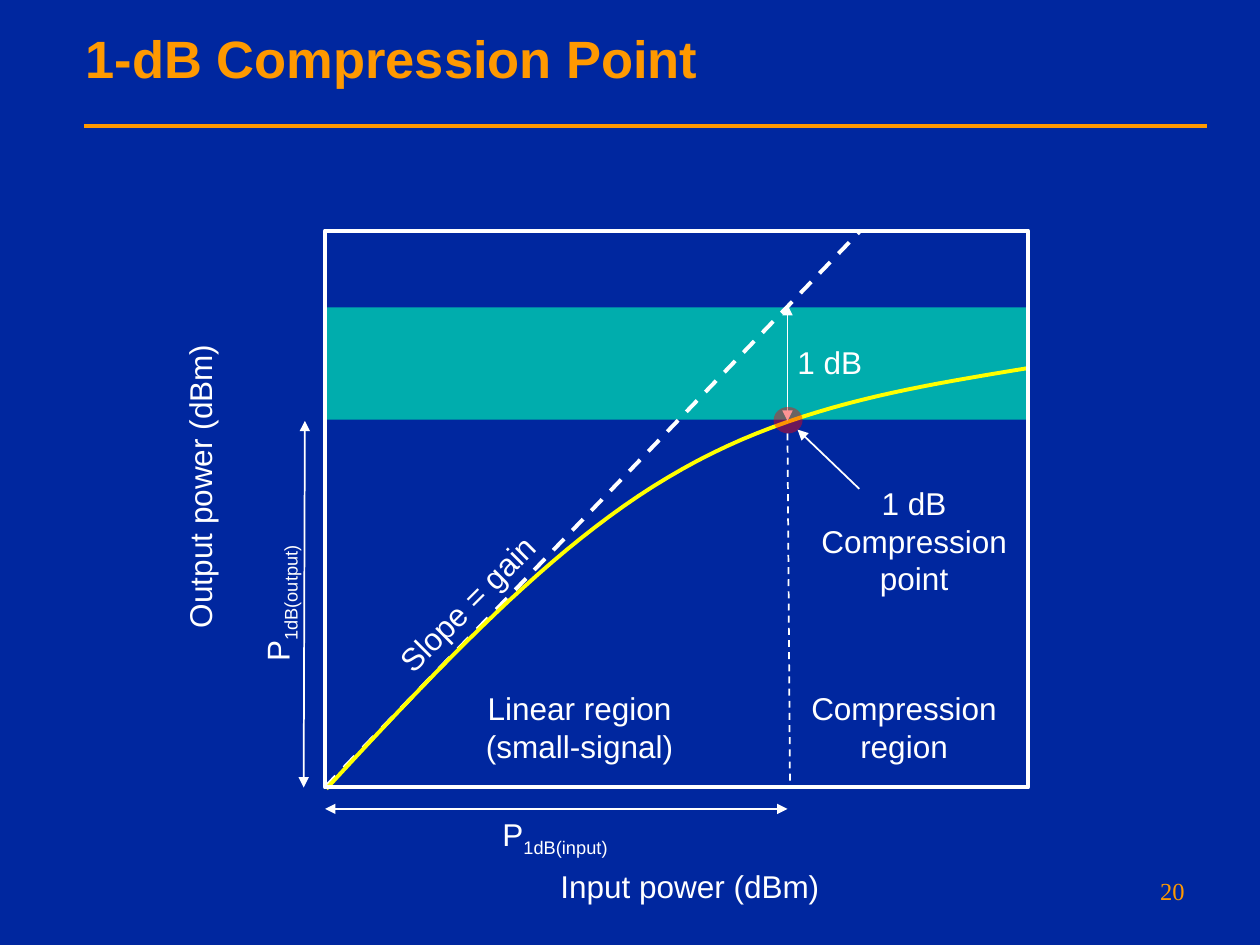
"""Build the 1-dB compression point slide."""
from dataclasses import dataclass

from lxml import etree
from pptx import Presentation
from pptx.dml.color import RGBColor
from pptx.enum.dml import MSO_LINE
from pptx.enum.shapes import MSO_CONNECTOR, MSO_SHAPE
from pptx.enum.text import MSO_ANCHOR, MSO_AUTO_SIZE, PP_ALIGN
from pptx.oxml.ns import qn
from pptx.util import Inches, Pt

STRAIGHT = MSO_CONNECTOR.STRAIGHT
RECT, OVAL = MSO_SHAPE.RECTANGLE, MSO_SHAPE.OVAL
DASH = MSO_LINE.DASH
MIDDLE = MSO_ANCHOR.MIDDLE
FIXED, GROW = MSO_AUTO_SIZE.NONE, MSO_AUTO_SIZE.SHAPE_TO_FIT_TEXT
LEFT, CENTER, RIGHT = PP_ALIGN.LEFT, PP_ALIGN.CENTER, PP_ALIGN.RIGHT
BLUE, GOLD, WHITE = "00279F", "FF9900", "FFFFFF"
TEAL, YELLOW, RED = "00ADAD", "FFFF00", "FF0000"
X, Y, W, H = 2.58, 1.83, 5.58, 4.42
KNEE_X, KNEE_Y, IDEAL_Y = 6.25, 3.34, 2.44


@dataclass
class Label:
    """A text box; an underscore starts a subscript."""
    text: str
    box: tuple[float, float, float, float]
    turn: float = 0
    align: PP_ALIGN = CENTER
    font: str = "Arial"
    size: float = 18
    color: str = WHITE


@dataclass
class Rule:
    """A straight line with optional dashes and arrowheads."""
    start: tuple[float, float]
    end: tuple[float, float]
    width: float = 1
    color: str = WHITE
    dash: bool = False
    heads: tuple[str, ...] = ()


LABELS = [
    Label("1 dB", (6.23, 2.67, 0.71, 0.4)),
    Label("Input power (dBm)", (4.35, 6.83, 2.25, 0.4)),
    Label("Output power (dBm)", (0.36, 3.66, 2.45, 0.4), 270),
    Label("1 dB\nCompression\npoint", (6.42, 3.79, 1.67, 1)),
    Label("P_1dB(input)", (3.89, 6.42, 1.03, 0.44)),
    Label("P_1dB(output)", (1.66, 4.57, 1.12, 0.44), 270),
    Label("Slope = gain", (2.91, 4.59, 1.59, 0.4), 315),
    Label("Linear region\n(small-signal)", (3.76, 5.42, 1.68, 0.7)),
    Label("Compression\nregion", (6.34, 5.42, 1.67, 0.7)),
    Label("20", (7.75, 6.9, 1.75, 0.43), 0, RIGHT, "Times New Roman", 14, GOLD),
]
BOTH = ("headEnd", "tailEnd")
RULES = [
    Rule((KNEE_X, 2.42), (KNEE_X, KNEE_Y), heads=BOTH),
    Rule((6.82, 3.88), (6.33, 3.41), heads=("tailEnd",)),
    Rule((KNEE_X, 3.44), (6.27, 6.23), dash=True),
    Rule((X, 6.42), (KNEE_X, 6.42), heads=BOTH),
    Rule((2.42, KNEE_Y), (2.41, Y + H), heads=BOTH),
]
CURVE = [
    ((2.59, 6.26), (3.48, 5.3), (4.37, 4.34), (5.3, 3.79)),
    ((5.3, 3.79), (6.23, 3.23), (7.2, 3.08), (8.17, 2.92)),
]


def rgb(code: str) -> RGBColor:
    """Turn a hex string into a colour."""
    return RGBColor.from_string(code)


def style(par, font: str, size: float, color: str, bold: bool = False) -> None:
    """Set the font of a paragraph."""
    par.font.name, par.font.size, par.font.bold = font, Pt(size), bold
    par.font.color.rgb = rgb(color)


def stroke(line, color: str, width: float) -> None:
    """Set the colour and width of a line."""
    line.color.rgb = rgb(color)
    line.width = Pt(width)


def draw_rule(slide, rule: Rule) -> None:
    """Draw a straight line."""
    ends = [Inches(v) for v in rule.start + rule.end]
    link = slide.shapes.add_connector(STRAIGHT, *ends)
    stroke(link.line, rule.color, rule.width)
    if rule.dash:
        link.line.dash_style = DASH
    for head in rule.heads:
        etree.SubElement(link.line._get_or_add_ln(), qn(f"a:{head}"), type="triangle")
    etree.SubElement(link._element.spPr, qn("a:effectLst"))


def draw_shape(slide, kind: MSO_SHAPE, box: tuple, fill: str = "", edge: str = "", alpha: int = 100) -> None:
    """Draw a preset shape."""
    shape = slide.shapes.add_shape(kind, *map(Inches, box))
    shape.shadow.inherit = False
    if fill:
        shape.fill.solid()
        shape.fill.fore_color.rgb = rgb(fill)
        if alpha < 100:
            tint = shape._element.spPr.find(".//" + qn("a:srgbClr"))
            etree.SubElement(tint, qn("a:alpha"), val=str(alpha * 1000))
    else:
        shape.fill.background()
    if edge:
        stroke(shape.line, edge, 2.25)
    else:
        shape.line.fill.background()


def draw_curve(slide, parts: list, steps: int = 24) -> None:
    """Draw a chain of cubic curves as one open outline."""
    dots = [tuple(map(Inches, parts[0][0]))]
    for part in parts:
        for i in range(1, steps + 1):
            t = i / steps
            mix = ((1 - t) ** 3, 3 * t * (1 - t) ** 2, 3 * t * t * (1 - t), t ** 3)
            dots.append(tuple(Inches(sum(m * p[k] for m, p in zip(mix, part))) for k in (0, 1)))
    pen = slide.shapes.build_freeform(*dots[0])
    pen.add_line_segments(dots[1:], close=False)
    shape = pen.convert_to_shape()
    shape.shadow.inherit = False
    shape.fill.background()
    stroke(shape.line, YELLOW, 2.25)


def draw_label(slide, label: Label) -> None:
    """Draw a text box."""
    box = slide.shapes.add_textbox(*map(Inches, label.box))
    box.rotation = label.turn
    frame = box.text_frame
    frame.word_wrap = label.align == RIGHT
    frame.auto_size = FIXED if label.align == RIGHT else GROW
    if label.align == CENTER:
        frame.margin_left = frame.margin_right = Inches(0.08)
    for i, text in enumerate(label.text.split("\n")):
        par = frame.add_paragraph() if i else frame.paragraphs[0]
        par.alignment = label.align
        style(par, label.font, label.size, label.color)
        base, _, sub = text.partition("_")
        par.add_run().text = base
        if sub:
            run = par.add_run()
            run.text = sub
            run._r.get_or_add_rPr().set("baseline", "-25000")


def draw_title(slide, text: str) -> None:
    """Fill and place the title."""
    title = slide.shapes.title
    title.left, title.top, title.width, title.height = map(Inches, (0.58, 0, 9, 0.91))
    frame = title.text_frame
    frame.text = text
    frame.vertical_anchor = MIDDLE
    frame.auto_size = FIXED
    par = frame.paragraphs[0]
    par.alignment = LEFT
    style(par, "Arial", 30, GOLD, True)


def main() -> None:
    """Build and save the slide."""
    deck = Presentation()
    deck.slide_width, deck.slide_height = Inches(10), Inches(7.5)
    slide = deck.slides.add_slide(deck.slide_layouts[5])
    slide.background.fill.solid()
    slide.background.fill.fore_color.rgb = rgb(BLUE)
    draw_title(slide, "1-dB Compression Point")
    draw_rule(slide, Rule((0.67, 1), (9.58, 1), 2.25, GOLD))
    draw_shape(slide, RECT, (X, IDEAL_Y, W, 0.89), TEAL)
    draw_rule(slide, Rule((X, Y + H), (6.83, Y), 2.25, dash=True))
    draw_curve(slide, CURVE)
    draw_shape(slide, RECT, (X, Y, W, H), edge=WHITE)
    for rule in RULES:
        draw_rule(slide, rule)
    draw_shape(slide, OVAL, (6.14, 3.23, 0.23, 0.21), RED, alpha=42)
    for label in LABELS:
        draw_label(slide, label)
    deck.save("out.pptx")


if __name__ == "__main__":
    main()
